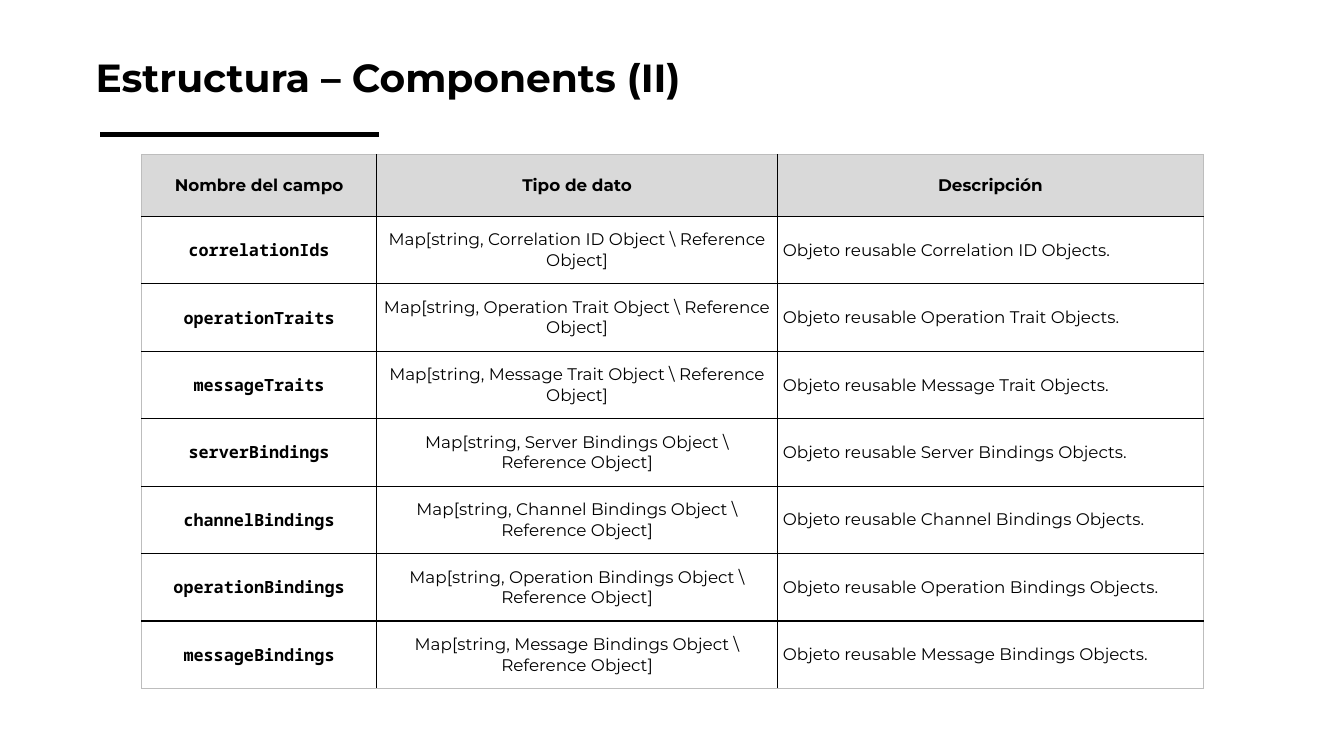
from lxml import etree
from pptx import Presentation
from pptx import util as u
from pptx.dml.color import RGBColor
from pptx.enum import shapes, text
from pptx.oxml.ns import qn

HEADING = "Estructura – Components (II)"
HEADERS = ("Nombre del campo", "Tipo de dato", "Descripción")
FIELDS = (
    ("correlationIds", "Correlation ID"),
    ("operationTraits", "Operation Trait"),
    ("messageTraits", "Message Trait"),
    ("serverBindings", "Server Bindings"),
    ("channelBindings", "Channel Bindings"),
    ("operationBindings", "Operation Bindings"),
    ("messageBindings", "Message Bindings"),
)
ROWS = [HEADERS] + [
    (field, f"Map[string, {kind} Object \\ Reference Object]",
     f"Objeto reusable {kind} Objects.")
    for field, kind in FIELDS
]

THEME = {
    "ink": "000000", "header": "D9D9D9", "frame": "BDBDBD",
    "sans": "Montserrat", "mono": "Noto Sans Mono",
    "title": 28, "body": 12, "rule": 3, "grid": 1, "edge": 0.75,
}
COLUMN_WIDTHS = (5.92, 10.11, 10.72)
HEADER_HEIGHT, FIELD_HEIGHT = 1.55, 1.7
SIDES = ("left", "top", "width", "height")
MARGINS = ("margin_left", "margin_top", "margin_right", "margin_bottom")
CENTER, LEFT = text.PP_ALIGN.CENTER, text.PP_ALIGN.LEFT


def apply(target, formats):
    for name, value in formats.items():
        setattr(target, name, value)


def ink(color):
    return RGBColor.from_string(THEME[color])


def style_text(paragraph, align, font, size, bold):
    paragraph.alignment = align
    for run in paragraph.runs:
        apply(run.font, {"name": THEME[font], "size": u.Pt(THEME[size]), "bold": bold})
        run.font.color.rgb = ink("ink")


def draw_borders(cell, outer):
    properties = cell._tc.get_or_add_tcPr()
    for index, (side, is_outer) in enumerate(outer.items()):
        color, width = ("frame", "edge") if is_outer else ("ink", "grid")
        border = etree.Element(qn(f"a:{side}"), w=str(u.Pt(THEME[width])))
        fill = etree.SubElement(border, qn("a:solidFill"))
        etree.SubElement(fill, qn("a:srgbClr"), val=THEME[color])
        properties.insert(index, border)


deck = Presentation()
apply(deck, {"slide_width": u.Cm(33.87), "slide_height": u.Cm(19.05)})
slide = deck.slides.add_slide(deck.slide_layouts[5])

title = slide.shapes.title
apply(title, dict(zip(SIDES, map(u.Cm, (2.08, 0.81, 22.23, 2.06)))))
title.text_frame.text = HEADING
apply(title.text_frame, dict.fromkeys(MARGINS, u.Cm(0.33)))
apply(title.text_frame, {
    "word_wrap": True,
    "vertical_anchor": text.MSO_ANCHOR.MIDDLE,
    "auto_size": text.MSO_AUTO_SIZE.SHAPE_TO_FIT_TEXT,
})
title.text_frame.paragraphs[0].line_spacing = 1.15
style_text(title.text_frame.paragraphs[0], LEFT, "sans", "title", True)

rule = slide.shapes.add_connector(
    shapes.MSO_CONNECTOR.STRAIGHT, u.Cm(2.53), u.Cm(3.39), u.Cm(9.55), u.Cm(3.39))
rule.line.color.rgb = ink("ink")
rule.line.width = u.Pt(THEME["rule"])
etree.SubElement(rule._element.spPr, qn("a:effectLst"))

fields = slide.shapes.add_table(
    len(ROWS), len(HEADERS), u.Cm(3.57), u.Cm(3.9), u.Cm(sum(COLUMN_WIDTHS)),
    u.Cm(HEADER_HEIGHT + FIELD_HEIGHT * len(FIELDS))).table
apply(fields, {"first_row": False, "horz_banding": False})
for column, width in zip(fields.columns, COLUMN_WIDTHS):
    column.width = u.Cm(width)

for r, row in enumerate(ROWS):
    is_header = r == 0
    fields.rows[r].height = u.Cm(HEADER_HEIGHT if is_header else FIELD_HEIGHT)
    for c, words in enumerate(row):
        cell = fields.cell(r, c)
        cell.text = words
        cell.vertical_anchor = text.MSO_ANCHOR.MIDDLE
        apply(cell, dict.fromkeys(MARGINS, u.Cm(0.38 if is_header else 0.13)))
        if is_header:
            cell.fill.solid()
            cell.fill.fore_color.rgb = ink("header")
        else:
            cell.fill.background()
        is_name = c == 0
        style_text(
            cell.text_frame.paragraphs[0],
            CENTER if is_header or c < 2 else LEFT,
            "mono" if is_name and not is_header else "sans",
            "body", is_header or is_name)
        draw_borders(cell, {
            "lnL": c == 0, "lnR": c == len(HEADERS) - 1,
            "lnT": r == 0, "lnB": r == len(ROWS) - 1,
        })

deck.save("out.pptx")
